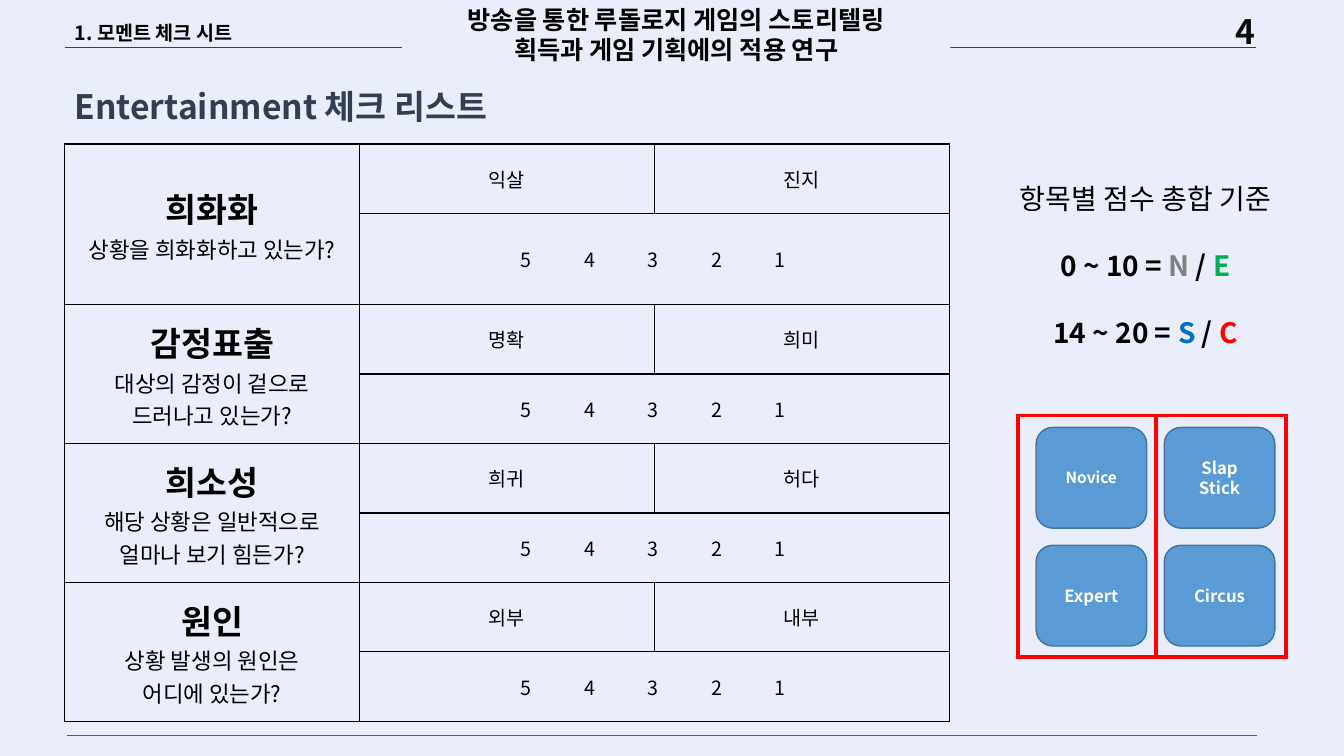
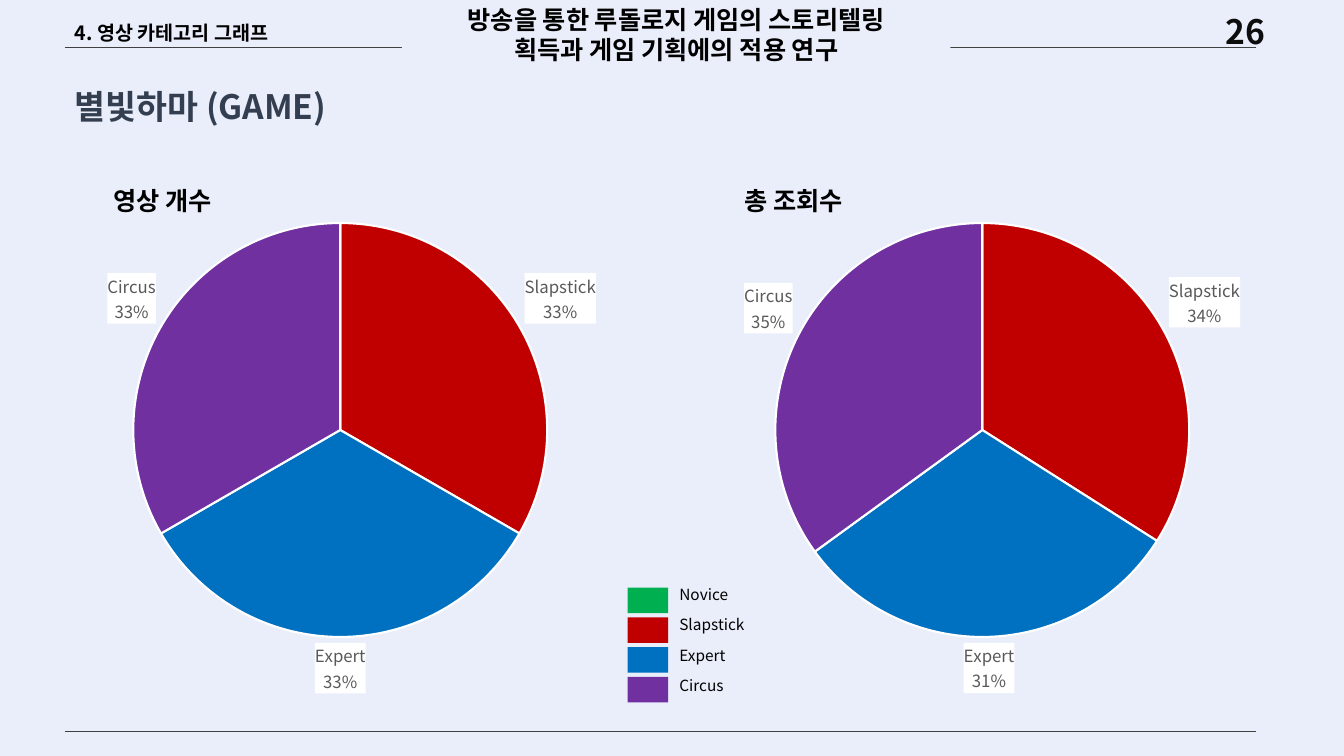
from lxml import etree
from pptx import Presentation
from pptx.chart.data import CategoryChartData
from pptx.dml.color import RGBColor
from pptx.enum.chart import XL_CHART_TYPE, XL_LABEL_POSITION
from pptx.enum.shapes import MSO_CONNECTOR, MSO_SHAPE
from pptx.enum.text import MSO_ANCHOR, MSO_AUTO_SIZE, PP_ALIGN
from pptx.oxml import parse_xml
from pptx.oxml.ns import nsdecls, qn
from pptx.util import Cm, Pt

# Shared style
FONT = "Noto Sans CJK KR"
BACKGROUND, INK, RULE, RED = "EAEEFA", "000000", "404040", "FF0000"
TIGHT = 1.19  # line height of text boxes, in font sizes
LEFT, MIDDLE, TOP = PP_ALIGN.LEFT, MSO_ANCHOR.MIDDLE, MSO_ANCHOR.TOP
BANNER = ["방송을 통한 루돌로지 게임의 스토리텔링", "획득과 게임 기획에의 적용 연구"]

# Check list content
QUESTIONS = [
    ("희화화", ["상황을 희화화하고 있는가?"], "익살", "진지"),
    ("감정표출", ["대상의 감정이 겉으로", "드러나고 있는가?"], "명확", "희미"),
    ("희소성", ["해당 상황은 일반적으로", "얼마나 보기 힘든가?"], "희귀", "허다"),
    ("원인", ["상황 발생의 원인은", "어디에 있는가?"], "외부", "내부"),
]
SCORES = "54321"
CRITERIA = [
    [("항목별 점수 총합 기준", {"bold": False})],
    [("0 ~ 10 = ", {}), ("N ", {"color": "808080"}), ("/ ", {}), ("E", {"color": "00B050"})],
    [("14 ~ 20 = ", {}), ("S ", {"color": "0070C0"}), ("/ ", {}), ("C", {"color": RED})],
]
GRADES = [(["Novice"], 11), (["Slap", "Stick"], 12), (["Expert"], 12), (["Circus"], 12)]
GRADE_FRAMES = [(25.63, 3.53), (29.11, 3.33)]

# Chart content
CATEGORIES = ["Novice", "Slapstick", "Expert", "Circus"]
SLICE_COLORS = ["5B9BD5", "C00000", "0070C0", "7030A0"]
LEGEND_COLORS = ["00B050"] + SLICE_COLORS[1:]
PIES = [
    ("영상 개수", 1.63, 0, (0, 33, 33, 33)),
    ("총 조회수", 17.53, 16.18, (0, 34, 31, 35)),
]


def rgb(color):
    return RGBColor.from_string(color)


def box(*lengths):
    return [Cm(length) for length in lengths]


def style_font(font, size, color, bold=False):
    for name, value in {"name": FONT, "size": Pt(size), "bold": bold}.items():
        setattr(font, name, value)
    font.color.rgb = rgb(color)


def write(frame, paragraphs, size, color=INK, bold=False, align=PP_ALIGN.CENTER,
          anchor=TOP, spacing=None, before=0):
    """Fill a text frame; a paragraph is a string or a list of (text, changes)."""
    settings = {"word_wrap": True, "auto_size": MSO_AUTO_SIZE.NONE, "vertical_anchor": anchor}
    for name, value in settings.items():
        setattr(frame, name, value)
    for index, runs in enumerate(paragraphs):
        paragraph = frame.add_paragraph() if index else frame.paragraphs[0]
        paragraph.alignment = align
        paragraph.line_spacing = spacing or Pt(round(size * TIGHT, 1))
        paragraph.space_before = Pt(before if index else 0)
        for text, changes in [(runs, {})] if isinstance(runs, str) else runs:
            run = paragraph.add_run()
            run.text = text
            style_font(run.font, **({"size": size, "color": color, "bold": bold} | changes))
            latin = run.font._element.find(qn("a:latin"))
            latin.addnext(parse_xml(f'<a:ea {nsdecls("a")} typeface="{FONT}"/>'))


def add_text(shapes, place, paragraphs, size, **options):
    write(shapes.add_textbox(*box(*place)).text_frame, paragraphs, size, **options)


def add_block(shapes, kind, place, fill, line=None):
    shape = shapes.add_shape(kind, *box(*place))
    shape.shadow.inherit = False
    shape.fill.solid()
    shape.fill.fore_color.rgb = rgb(fill)
    if line:
        shape.line.color.rgb = rgb(line)
        shape.line.width = Pt(1)
    else:
        shape.line.fill.background()
    return shape


def add_rule(slide, left, right, top, color=RULE):
    rule = slide.shapes.add_connector(MSO_CONNECTOR.STRAIGHT, *box(left, top, right, top))
    rule.line.color.rgb = rgb(color)
    rule.line.width = Pt(0.5)
    etree.SubElement(rule._element.spPr, qn("a:effectLst"))


def add_page(presentation, number, section, title):
    """Title-only slide with the common header."""
    slide = presentation.slides.add_slide(presentation.slide_layouts[5])
    heading = slide.shapes.title
    for name, value in zip(("left", "top", "width", "height"), box(1.63, 1.52, 11.4, 1.8)):
        setattr(heading, name, value)
    write(heading.text_frame, [title], 24, color="333F50", bold=True, align=LEFT,
          anchor=MIDDLE, spacing=1.5)
    add_rule(slide, 1.63, 31.65, 1.19)
    banner = add_block(slide.shapes, MSO_SHAPE.RECTANGLE, (10.13, 0, 13.82, 1.8), BACKGROUND)
    write(banner.text_frame, BANNER, 18, bold=True)
    add_text(slide.shapes, (1.63, 0.15, 8.03, 1.04), [section], 14, bold=True, align=LEFT,
             anchor=MIDDLE, spacing=1.5)
    add_text(slide.shapes, (29.34, 0.15, 4.09, 1.02), [number], 24, color="0D0D0D", bold=True)
    return slide


def border_cell(cell):
    cell.fill.background()
    properties = cell._tc.get_or_add_tcPr()
    for index, side in enumerate("LRTB"):
        properties.insert(index, parse_xml(
            f'<a:ln{side} {nsdecls("a")} w="12700"><a:solidFill>'
            f'<a:srgbClr val="{INK}"/></a:solidFill></a:ln{side}>'))


def write_scores(cell):
    """Spread the scores over centred tab stops."""
    write(cell.text_frame, ["".join("\t" + score for score in SCORES)], 14, align=LEFT, spacing=1.0)
    cell.vertical_anchor = MIDDLE
    tabs = etree.SubElement(cell.text_frame.paragraphs[0]._p.get_or_add_pPr(), qn("a:tabLst"))
    for index in range(len(SCORES)):
        etree.SubElement(tabs, qn("a:tab"), pos=str(Cm(3.95 + 1.6 * index)), algn="ctr")


def add_check_table(slide):
    rows = 2 * len(QUESTIONS)
    table = slide.shapes.add_table(rows, 3, *box(1.63, 3.63, 22.29, 1.75 * rows)).table
    table.first_row = table.horz_banding = False
    for column in table.columns:
        column.width = Cm(7.43)
    for index, row in enumerate(table.rows):
        row.height = Cm(1.93 if index == 1 else 1.75)
        for cell in row.cells:
            border_cell(cell)
    for index, (topic, question, high, low) in enumerate(QUESTIONS):
        top = 2 * index
        table.cell(top, 0).merge(table.cell(top + 1, 0))
        table.cell(top + 1, 1).merge(table.cell(top + 1, 2))
        topic_lines = [[(topic, {"size": 24, "bold": True})]] + question
        for column, (lines, size) in enumerate([(topic_lines, 16), ([high], 14), ([low], 14)]):
            cell = table.cell(top, column)
            write(cell.text_frame, lines, size, spacing=1.0)
            cell.vertical_anchor = MIDDLE
        write_scores(table.cell(top + 1, 1))


def add_grades(slide):
    for index, (lines, size) in enumerate(GRADES):
        row, column = divmod(index, 2)
        place = (26.11 + 3.23 * column, 10.77 + 2.97 * row, 2.79, 2.54)
        grade = add_block(slide.shapes, MSO_SHAPE.ROUNDED_RECTANGLE, place, "5B9BD5", "43739E")
        write(grade.text_frame, lines, size, color="FFFFFF", bold=True, anchor=MIDDLE)
    for left, width in GRADE_FRAMES:
        frame = add_block(slide.shapes, MSO_SHAPE.FRAME, (left, 10.44, width, 6.15), RED, RED)
        frame.adjustments[0] = 0.016


def style_labels(labels):
    settings = {"show_value": False, "show_category_name": True, "show_percentage": True,
                "number_format": "0%", "number_format_is_linked": False,
                "position": XL_LABEL_POSITION.OUTSIDE_END}
    for name, value in settings.items():
        setattr(labels, name, value)
    style_font(labels.font, 12, "595959")
    element = labels._element
    element.find(qn("c:txPr")).addprevious(parse_xml(
        f'<c:spPr {nsdecls("c", "a")}><a:solidFill><a:srgbClr val="FFFFFF"/></a:solidFill></c:spPr>'))
    element.find(qn("c:showBubbleSize")).addnext(parse_xml(
        f'<c:separator {nsdecls("c")}>\n</c:separator>'))
    # The empty first category has no label
    element.insert(0, parse_xml(
        f'<c:dLbl {nsdecls("c")}><c:idx val="0"/><c:delete val="1"/></c:dLbl>'))


def place_plot(chart, **fractions):
    area = chart._chartSpace.chart.plotArea
    for layout in area.findall(qn("c:layout")):
        area.remove(layout)
    values = "".join(f'<c:{key} val="{value}"/>' for key, value in fractions.items())
    area.insert(0, parse_xml(
        f'<c:layout {nsdecls("c")}><c:manualLayout><c:layoutTarget val="inner"/>'
        f'<c:xMode val="edge"/><c:yMode val="edge"/>{values}</c:manualLayout></c:layout>'))


def add_pie(slide, left, values):
    data = CategoryChartData()
    data.categories = CATEGORIES
    data.add_series("Series 1", values)
    chart = slide.shapes.add_chart(
        XL_CHART_TYPE.PIE, *box(left, 5.23, 17.68, 12.6), data).chart
    chart.has_legend = chart.has_title = False
    style_font(chart.font, 10, INK)
    plot = chart.plots[0]
    plot.vary_by_categories = True
    series = plot.series[0]
    for index, color in enumerate(SLICE_COLORS):
        part = series.points[index].format
        part.fill.solid()
        part.fill.fore_color.rgb = rgb(color)
        part.line.color.rgb = rgb("FFFFFF")
        part.line.width = Pt(1.5)
    style_labels(series.data_labels)
    place_plot(chart, x=0.19, y=0.03, w=0.59, h=0.83)


def add_legend(slide):
    shapes = slide.shapes.add_group_shape().shapes
    for index, (name, color) in enumerate(zip(CATEGORIES, LEGEND_COLORS)):
        add_block(shapes, MSO_SHAPE.RECTANGLE, (15.82, 14.81 + 0.75 * index, 1.02, 0.64), color)
        add_text(shapes, (16.87, 14.63 + 0.76 * index, 2.36, 0.74), [name], 11, align=LEFT)


def main():
    presentation = Presentation()
    presentation.slide_width, presentation.slide_height = box(33.87, 19.05)
    background = presentation.slide_master.background.fill
    background.solid()
    background.fore_color.rgb = rgb(BACKGROUND)

    # Check list
    slide = add_page(presentation, "4", "1. 모멘트 체크 시트", "Entertainment 체크 리스트")
    add_rule(slide, 1.68, 31.67, 18.54, "D02646")
    add_check_table(slide)
    add_text(slide.shapes, (25.04, 4.45, 7.65, 4.52), CRITERIA, 20, bold=True, before=24)
    add_grades(slide)

    # Category charts
    slide = add_page(presentation, "26", "4. 영상 카테고리 그래프", "별빛하마 (GAME)")
    add_rule(slide, 1.63, 31.65, 18.44)
    for heading, heading_left, chart_left, values in PIES:
        add_pie(slide, chart_left, values)
        add_text(slide.shapes, (heading_left, 4.55, 4.95, 1.02), [heading], 18, bold=True)
    add_legend(slide)

    presentation.save("out.pptx")


if __name__ == "__main__":
    main()
